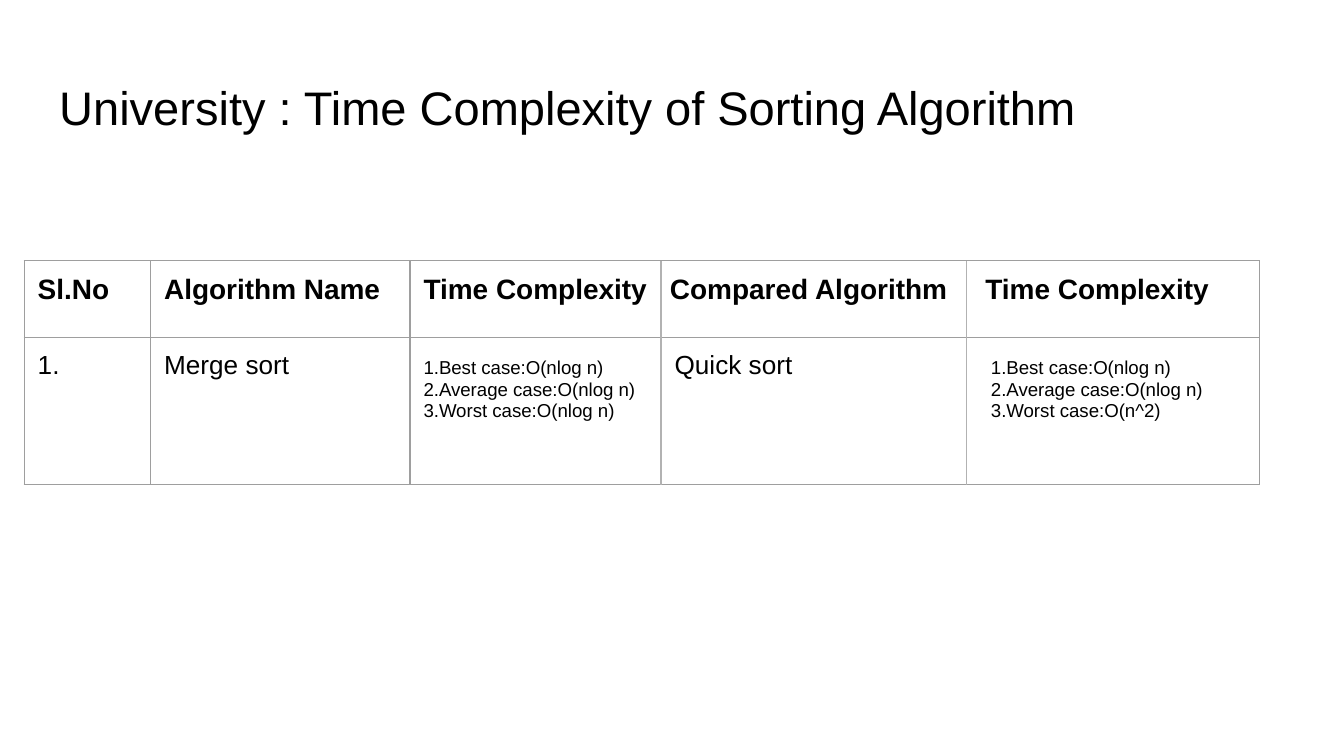
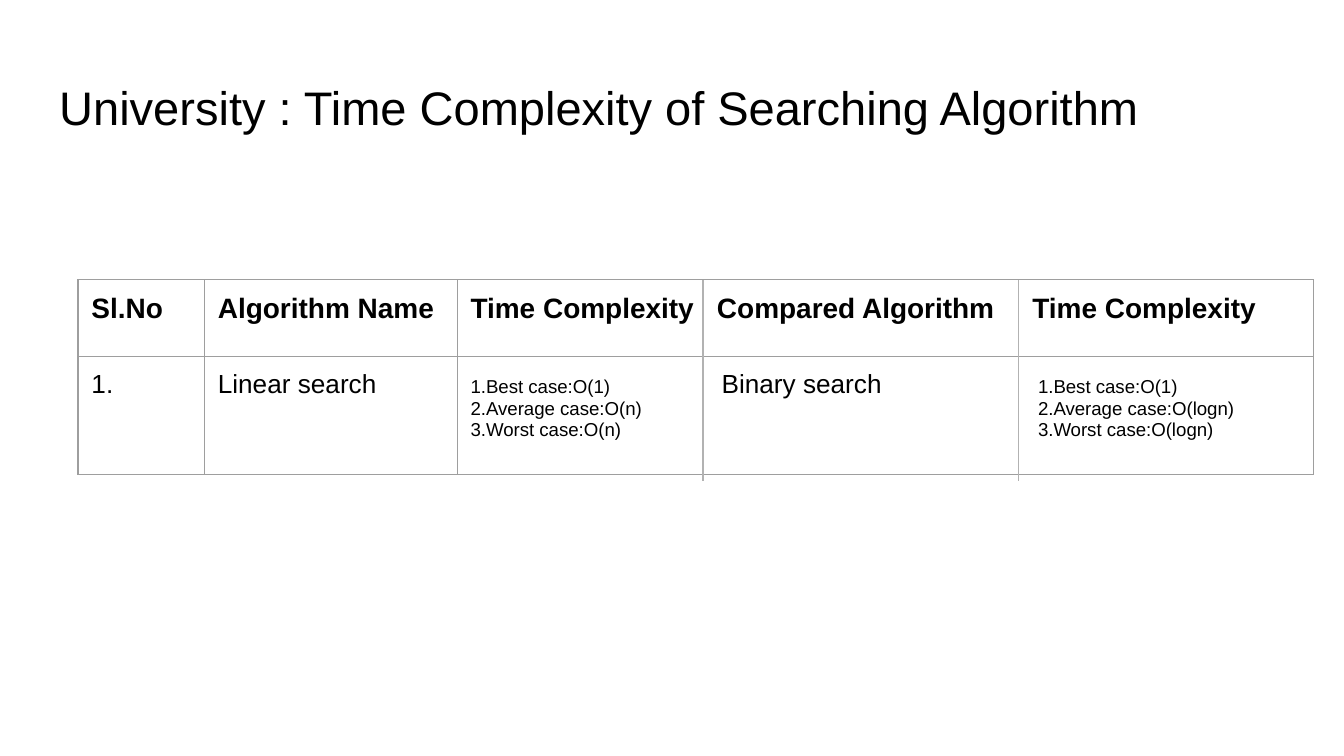
"""Build two slides comparing the time complexity of algorithms."""
from lxml import etree
from pptx import Presentation
from pptx.dml.color import RGBColor
from pptx.enum.shapes import MSO_CONNECTOR
from pptx.enum.text import MSO_ANCHOR, MSO_AUTO_SIZE, PP_ALIGN
from pptx.oxml.ns import qn
from pptx.util import Pt

STRAIGHT = MSO_CONNECTOR.STRAIGHT
TOP, LEFT, NO_AUTOFIT = MSO_ANCHOR.TOP, PP_ALIGN.LEFT, MSO_AUTO_SIZE.NONE
TITLE_ONLY = 5

COLORS = {"text": "000000", "border": "9E9E9E", "divider": "B2B2B2", "page": "FFFFFF"}
FONT = "Arial"
TITLE_SIZE, HEADER_SIZE, NAME_SIZE, CASE_SIZE = 25.2, 15, 14, 10
INSET = 7.2
LINE_WIDTH = 0.75
HEADER_HEIGHT = 41
HEADER_TABS = (132, 301)
CASE_TABS = (134.5, 304)
HEADERS = ("Sl.No", "Algorithm Name",
           "Time Complexity\tCompared Algorithm\tTime Complexity")
CASES = ("1.Best case:", "2.Average case:", "3.Worst case:")

COMPARISONS = [
    {
        "title": "University : Time Complexity of Sorting Algorithm",
        "position": (13, 139.7),
        "columns": (67.7, 139, 455),
        "body_height": 79,
        "dividers": (354.2, 517.7),
        "divider_length": 120.2,
        "names": ("Merge sort", "Quick sort"),
        "costs": (("O(nlog n)", "O(nlog n)"), ("O(nlog n)", "O(nlog n)"),
                  ("O(nlog n)", "O(n^2)")),
    },
    {
        "title": "University : Time Complexity of Searching Algorithm",
        "position": (41.8, 149.8),
        "columns": (67.7, 135.4, 458.6),
        "body_height": 63.4,
        "dividers": (376.6, 545.8),
        "divider_length": 108,
        "names": ("Linear search", "Binary search"),
        "costs": (("O(1)", "O(1)"), ("O(n)", "O(logn)"), ("O(n)", "O(logn)")),
    },
]


def rgb(name):
    """Return the named palette colour."""
    return RGBColor.from_string(COLORS[name])


def set_insets(target):
    """Give a text frame or a cell the shared margins."""
    for side in ("left", "right", "top", "bottom"):
        setattr(target, f"margin_{side}", Pt(INSET))


def format_run(run, size, bold=False):
    """Apply the shared font to a run."""
    run.font.name = FONT
    run.font.size = Pt(size)
    run.font.bold = bold
    run.font.color.rgb = rgb("text")


def set_tabs(paragraph, stops):
    """Set left-aligned tab stops on a paragraph."""
    tab_list = etree.SubElement(paragraph._p.get_or_add_pPr(), qn("a:tabLst"))
    for stop in stops:
        etree.SubElement(tab_list, qn("a:tab"), pos=str(Pt(stop)), algn="l")


def set_borders(cell):
    """Draw thin borders on all four sides of a cell."""
    properties = cell._tc.get_or_add_tcPr()
    for side in ("lnL", "lnR", "lnT", "lnB"):
        border = etree.SubElement(properties, qn(f"a:{side}"), w=str(Pt(LINE_WIDTH)))
        fill = etree.SubElement(border, qn("a:solidFill"))
        etree.SubElement(fill, qn("a:srgbClr"), val=COLORS["border"])


def fill_cell(cell, lines, bold=False):
    """Write lines, each a pair of runs and tab stops, into a cell."""
    set_insets(cell)
    set_borders(cell)
    cell.fill.background()
    cell.vertical_anchor = TOP
    frame = cell.text_frame
    for index, (runs, stops) in enumerate(lines):
        paragraph = frame.add_paragraph() if index else frame.paragraphs[0]
        paragraph.alignment = LEFT
        if stops:
            set_tabs(paragraph, stops)
        for text, size in runs:
            run = paragraph.add_run()
            run.text = text
            format_run(run, size, bold)


def case_lines(compared_name, costs):
    """Return the lines that set the costs of both algorithms side by side."""
    lines = []
    for case, (cost, compared_cost) in zip(CASES, costs):
        first, second = case + cost, f"\t{case}{compared_cost}"
        if lines:
            lines.append(([(first + second, CASE_SIZE)], CASE_TABS[1:]))
        else:
            runs = [(first, CASE_SIZE), (f"\t{compared_name}", NAME_SIZE),
                    (second, CASE_SIZE)]
            lines.append((runs, CASE_TABS))
    return lines


def add_title(slide, text):
    """Place and format the slide title."""
    title = slide.shapes.title
    title.left, title.top, title.width, title.height = Pt(24.5), Pt(35), Pt(671), Pt(45)
    frame = title.text_frame
    frame.text = text
    frame.word_wrap = True
    frame.auto_size = NO_AUTOFIT
    frame.vertical_anchor = TOP
    set_insets(frame)
    frame.paragraphs[0].alignment = LEFT
    format_run(frame.paragraphs[0].runs[0], TITLE_SIZE)


def add_comparison_table(slide, comparison):
    """Add the table that compares two algorithms."""
    left, top = comparison["position"]
    columns = comparison["columns"]
    heights = (HEADER_HEIGHT, comparison["body_height"])
    table = slide.shapes.add_table(len(heights), len(columns), Pt(left), Pt(top),
                                   Pt(sum(columns)), Pt(sum(heights))).table
    table.first_row = table.horz_banding = False
    for column, width in zip(table.columns, columns):
        column.width = Pt(width)
    for row, height in zip(table.rows, heights):
        row.height = Pt(height)
    for index, header in enumerate(HEADERS):
        stops = HEADER_TABS if "\t" in header else ()
        fill_cell(table.cell(0, index), [([(header, HEADER_SIZE)], stops)], bold=True)
    name, compared_name = comparison["names"]
    for index, text in enumerate(("1.", name)):
        fill_cell(table.cell(1, index), [([(text, NAME_SIZE)], ())])
    fill_cell(table.cell(1, 2), case_lines(compared_name, comparison["costs"]))


def add_divider(slide, x, top, length):
    """Add a vertical line that divides the wide column."""
    divider = slide.shapes.add_connector(STRAIGHT, Pt(x), Pt(top), Pt(x), Pt(top + length))
    divider.line.color.rgb = rgb("divider")
    divider.line.width = Pt(LINE_WIDTH)
    etree.SubElement(divider._element.spPr, qn("a:effectLst"))


def add_comparison_slide(deck, comparison):
    """Add one slide with its title, table and dividers."""
    slide = deck.slides.add_slide(deck.slide_layouts[TITLE_ONLY])
    slide.background.fill.solid()
    slide.background.fill.fore_color.rgb = rgb("page")
    add_title(slide, comparison["title"])
    add_comparison_table(slide, comparison)
    for x in comparison["dividers"]:
        add_divider(slide, x, comparison["position"][1], comparison["divider_length"])


def main():
    """Build and save the presentation."""
    deck = Presentation()
    deck.slide_width, deck.slide_height = Pt(720), Pt(405)
    for comparison in COMPARISONS:
        add_comparison_slide(deck, comparison)
    deck.save("out.pptx")


if __name__ == "__main__":
    main()
